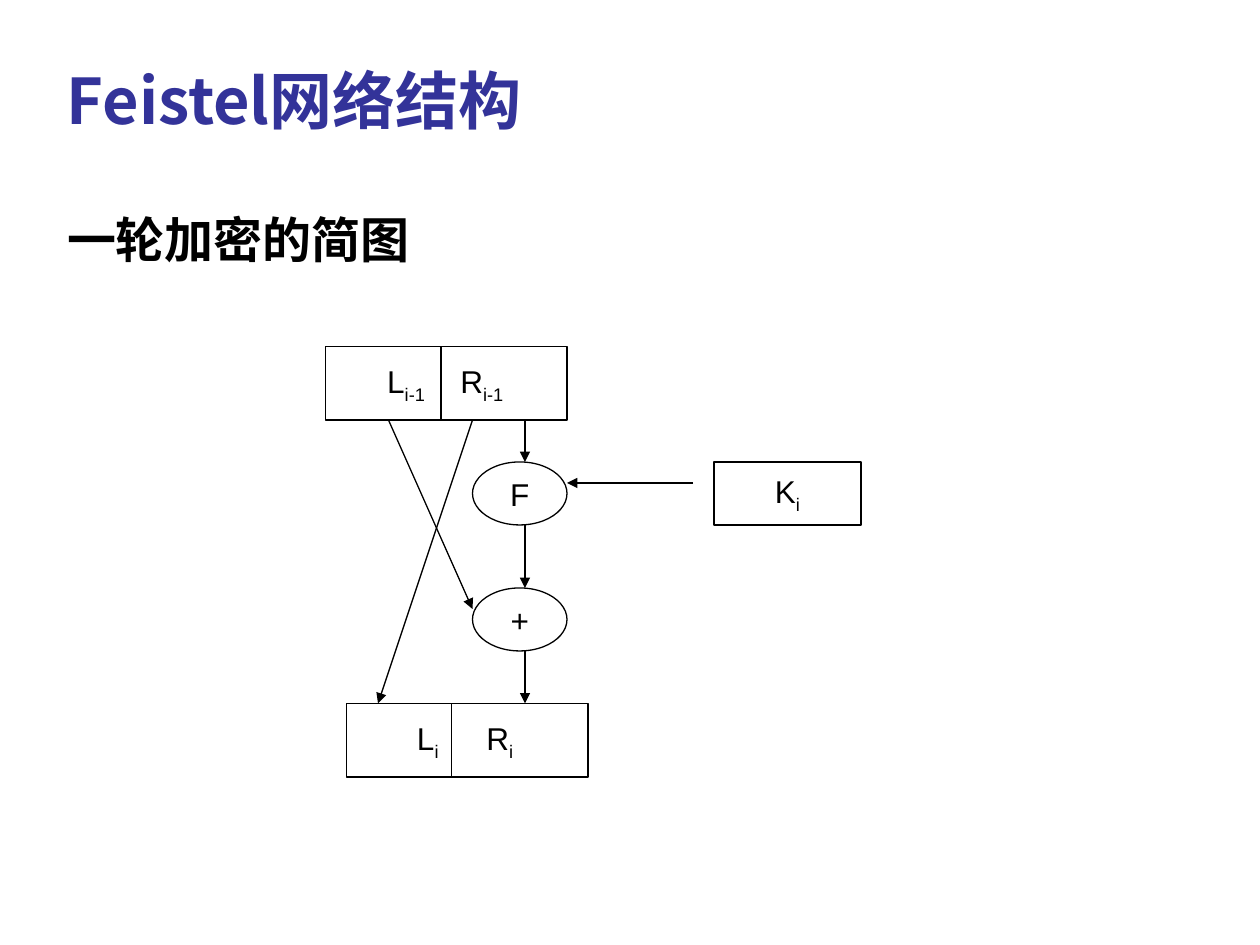
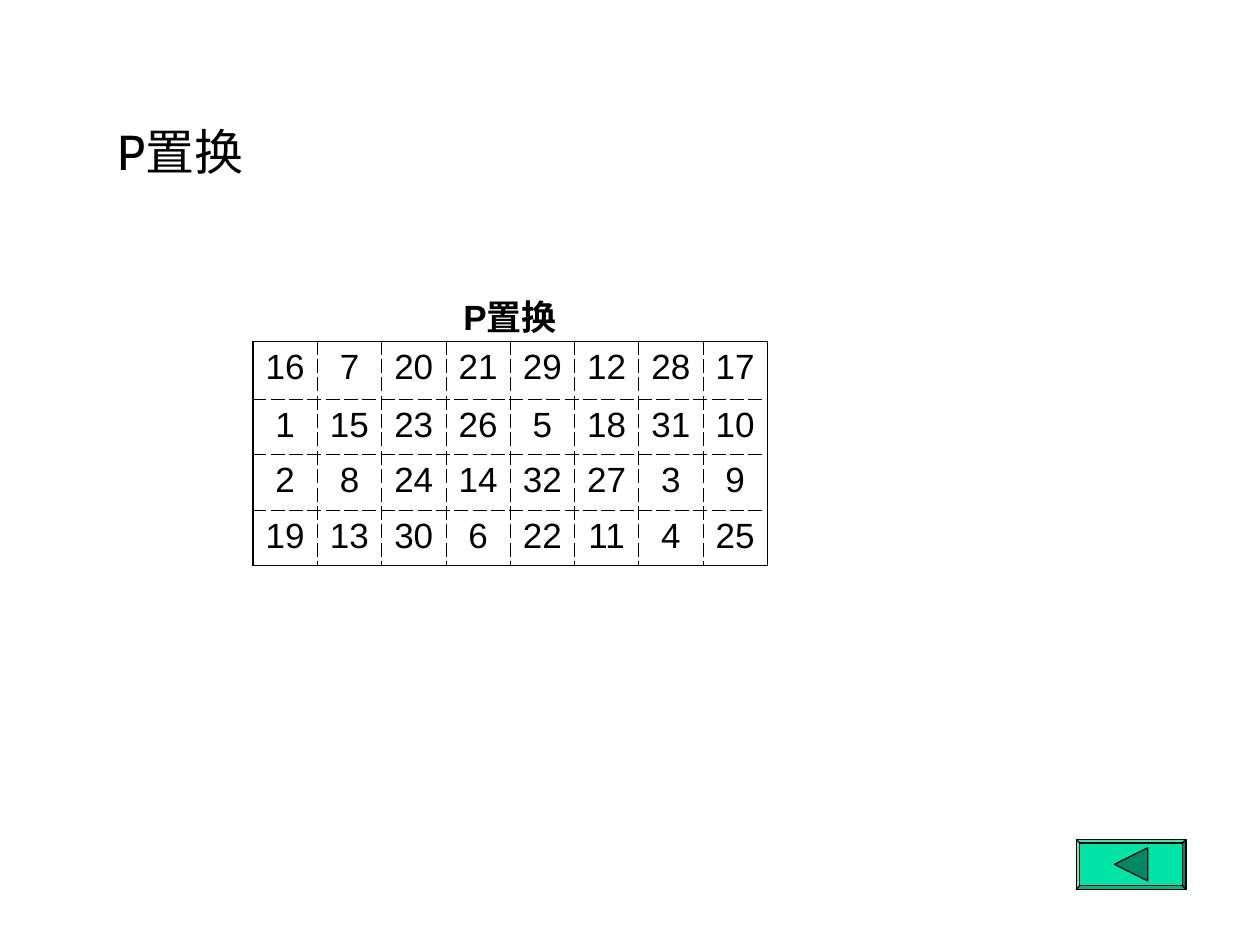
from lxml import etree
from pptx import Presentation
from pptx.dml.color import RGBColor
from pptx.enum.shapes import MSO_CONNECTOR as Conn, MSO_SHAPE as Kind
from pptx.enum.text import MSO_ANCHOR as Anchor, PP_ALIGN as Align
from pptx.oxml.ns import qn
from pptx.util import Inches, Pt

BLACK = RGBColor(0x00, 0x00, 0x00)
WHITE = RGBColor(0xFF, 0xFF, 0xFF)
NAVY = RGBColor(0x33, 0x33, 0x99)
MINT = RGBColor(0x00, 0xE4, 0xA8)
GREEN = RGBColor(0x00, 0x89, 0x65)
SANS, HEAD, CABIN = "Arial", "Noto Sans CJK SC", "Cabin"
THIN = 0.75
SUB = "-25000"

ROWS = [
    [16, 7, 20, 21, 29, 12, 28, 17],
    [1, 15, 23, 26, 5, 18, 31, 10],
    [2, 8, 24, 14, 32, 27, 3, 9],
    [19, 13, 30, 6, 22, 11, 4, 25],
]


def grid(n):
    """Twelve grid steps to the inch: the slide is 120 by 90 steps."""
    return Inches(n / 12)


def put(para, text, size, font=SANS, color=BLACK, bold=False, sub=False):
    run = para.add_run()
    run.text = text
    run.font.size = Pt(size)
    run.font.name = font
    run.font.bold = bold
    run.font.color.rgb = color
    props = run._r.get_or_add_rPr()
    etree.SubElement(props, qn("a:ea"), typeface=HEAD)
    if sub:
        props.set("baseline", SUB)


def write(slide, box, text, size, **style):
    frame = slide.shapes.add_textbox(*map(grid, box)).text_frame
    frame.word_wrap = True
    put(frame.paragraphs[0], text, size, **style)


def paint(shape, fill):
    shape.shadow.inherit = False
    shape.fill.solid()
    shape.fill.fore_color.rgb = fill
    shape.line.color.rgb = BLACK
    shape.line.width = Pt(THIN)


def node(slide, kind, box, name, sub=""):
    shape = slide.shapes.add_shape(kind, *map(grid, box))
    paint(shape, WHITE)
    frame = shape.text_frame
    frame.word_wrap = False
    frame.vertical_anchor = Anchor.MIDDLE
    para = frame.paragraphs[0]
    para.alignment = Align.CENTER
    put(para, name, 18)
    if sub:
        put(para, sub, 18, sub=True)


def line(slide, start, end, arrow=True):
    wire = slide.shapes.add_connector(Conn.STRAIGHT, *map(grid, start + end))
    wire.line.color.rgb = BLACK
    wire.line.width = Pt(THIN)
    if arrow:
        etree.SubElement(wire.line._get_or_add_ln(), qn("a:tailEnd"), type="triangle")
    etree.SubElement(wire._element.spPr, qn("a:effectLst"))


def halves(slide, left, top, split, sub, inset, tab):
    """A block cut into its L and R halves, set apart by a tab stop."""
    wide, high = 23, 7
    shape = slide.shapes.add_shape(Kind.RECTANGLE, *map(grid, (left, top, wide, high)))
    paint(shape, WHITE)
    frame = shape.text_frame
    frame.word_wrap = True
    frame.vertical_anchor = Anchor.MIDDLE
    frame.margin_left = Inches(inset)
    para = frame.paragraphs[0]
    para.alignment = Align.LEFT
    stops = etree.SubElement(para._p.get_or_add_pPr(), qn("a:tabLst"))
    etree.SubElement(stops, qn("a:tab"), pos=str(Inches(tab)), algn="l")
    for name in ("L", "\tR"):
        put(para, name, 18)
        put(para, sub, 18, sub=True)
    line(slide, (left + split, top), (left + split, top + high), arrow=False)


def cipher(slide, left, top):
    """One round of encryption, placed from its top left corner."""
    def at(x, y):
        return left + x, top + y

    # Blocks going in and out
    halves(slide, *at(0, 0), 11, "i-1", 0.49, 0.58)
    halves(slide, *at(2, 34), 10, "i", 0.56, 0.55)
    # Round function, sum and key
    node(slide, Kind.OVAL, at(14, 11) + (9, 6), "F")
    node(slide, Kind.OVAL, at(14, 23) + (9, 6), "+")
    node(slide, Kind.RECTANGLE, at(37, 11) + (14, 6), "K", "i")
    # Crossing arrows, the way down on the right, and the key
    for start, end in [
        ((14, 7), (5, 34)), ((6, 7), (14, 25)),
        ((19, 7), (19, 11)), ((19, 17), (19, 23)), ((19, 29), (19, 34)),
        ((35, 13), (23, 13)),
    ]:
        line(slide, at(*start), at(*end))


def edge(cell, **sides):
    """Set borders in the order L, R, T, B: None, 'dash' or 'solid'."""
    props = cell._tc.get_or_add_tcPr()
    for i, side in enumerate("LRTB"):
        look = sides[side]
        width = Pt(0.45 if look == "dash" else 1.08)
        ln = etree.Element(qn("a:ln" + side), w=str(width))
        if look:
            fill = etree.SubElement(ln, qn("a:solidFill"))
            etree.SubElement(fill, qn("a:srgbClr"), val=str(BLACK))
            etree.SubElement(ln, qn("a:prstDash"), val=look)
        else:
            etree.SubElement(ln, qn("a:noFill"))
        props.insert(i, ln)


def fill_cell(cell, text, bold=False):
    para = cell.text_frame.paragraphs[0]
    para.alignment = Align.CENTER
    put(para, text, 20, bold=bold)


def permute(slide, left, top, wide):
    """The permutation table, under a merged heading row."""
    count, last = len(ROWS[0]), len(ROWS)
    heights = [0.46, 0.46, 0.44, 0.44, 0.44]
    table = slide.shapes.add_table(
        last + 1, count, grid(left), grid(top), grid(wide), Inches(sum(heights))).table
    table.first_row = table.horz_banding = False
    for row, high in zip(table.rows, heights):
        row.height = Inches(high)
    for col in table.columns:
        col.width = grid(wide / count)
    for cell in table.iter_cells():
        cell.fill.background()

    # Heading
    table.cell(0, 0).merge(table.cell(0, count - 1))
    fill_cell(table.cell(0, 0), "P置换", bold=True)
    for c in range(count):
        edge(table.cell(0, c), L=None, R=None, T=None, B="solid")

    # Numbers: solid frame, dashed inside
    def rim(outer):
        return "solid" if outer else "dash"

    for r, row in enumerate(ROWS, 1):
        for c, value in enumerate(row):
            cell = table.cell(r, c)
            fill_cell(cell, str(value))
            edge(cell, L=rim(c == 0), R=rim(c == count - 1), T=rim(r == 1), B=rim(r == last))


def button(slide, left, top, wide, high):
    """Bevelled back button with a triangle in its middle."""
    base = slide.shapes.add_shape(Kind.BEVEL, *map(grid, (left, top, wide, high)))
    paint(base, MINT)
    base.adjustments[0] = 0.07
    half = high / 3
    x, y = left + wide / 2, top + high / 2
    pen = slide.shapes.build_freeform(grid(x - half), grid(y))
    pen.add_line_segments([(grid(x + half), grid(y - half)), (grid(x + half), grid(y + half))])
    paint(pen.convert_to_shape(), GREEN)


def main():
    deck = Presentation()
    deck.slide_width, deck.slide_height = grid(120), grid(90)
    blank = deck.slide_layouts[6]

    # Round diagram
    slide = deck.slides.add_slide(blank)
    write(slide, (5.2, 5.3, 108, 17.9), "Feistel网络结构", 36, font=HEAD, color=NAVY, bold=True)
    cipher(slide, 31, 33)
    write(slide, (5.2, 19.4, 50, 6.8), "一轮加密的简图", 28, bold=True)

    # Permutation table
    slide = deck.slides.add_slide(blank)
    write(slide, (10, 11, 102, 25), "P置换", 28, font=CABIN)
    permute(slide, 24.1, 27, 49)
    button(slide, 102.5, 79.95, 10.45, 4.75)

    deck.save("out.pptx")


if __name__ == "__main__":
    main()
